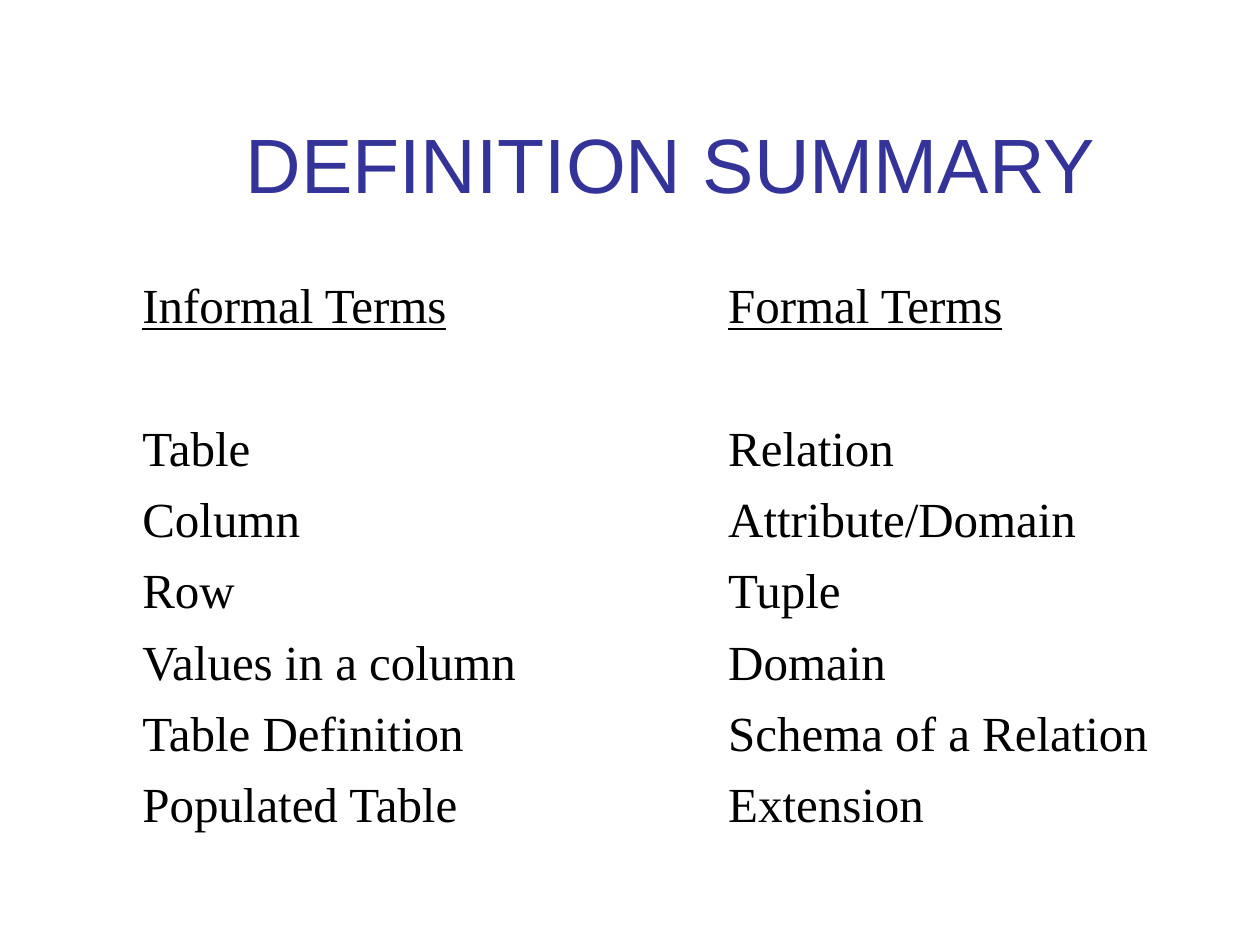
"""Build the Definition Summary slide with a two-column table of terms."""
import pptx
import pptx.dml.color
import pptx.enum.text
import pptx.oxml
import pptx.oxml.ns
import pptx.util
from pptx.util import Inches


def rgb(value):
    return pptx.dml.color.RGBColor.from_string(value)


def add_border(cell, side, width, color):
    ns = pptx.oxml.ns.nsdecls("a")
    cell._tc.get_or_add_tcPr().append(pptx.oxml.parse_xml(
        f'<a:ln{side} {ns} w="{pptx.util.Pt(width)}"><a:solidFill>'
        f'<a:srgbClr val="{color}"/></a:solidFill></a:ln{side}>'))


terms = [
    ("Informal Terms", "Formal Terms"),
    ("", ""),
    ("Table", "Relation"),
    ("Column", "Attribute/Domain"),
    ("Row", "Tuple"),
    ("Values in a column", "Domain"),
    ("Table Definition", "Schema of a Relation"),
    ("Populated Table", "Extension"),
]
widths = [3.51, 1.14, 3.57]

prs = pptx.Presentation()
prs.slide_width, prs.slide_height = Inches(10), Inches(7.5)
s = prs.slides.add_slide(prs.slide_layouts[5])

title = s.shapes.title
title.left, title.top = Inches(1.4), Inches(0.67)
title.width, title.height = Inches(7.85), Inches(1.25)
tf = title.text_frame
tf.text = "DEFINITION SUMMARY"
tf.vertical_anchor = pptx.enum.text.MSO_ANCHOR.MIDDLE
p = tf.paragraphs[0]
p.alignment = pptx.enum.text.PP_ALIGN.CENTER
p.font.name, p.font.size = "Arial", pptx.util.Pt(44)
p.font.color.rgb = rgb("333399")

table = s.shapes.add_table(len(terms), len(widths), Inches(1.03), Inches(2.17),
                           Inches(sum(widths)), Inches(4.53)).table
table.first_row = table.horz_banding = False
for column, width in zip(table.columns, widths):
    column.width = Inches(width)

last_row, last_col = len(terms) - 1, len(widths) - 1
for i, (informal, formal) in enumerate(terms):
    for j, text in enumerate((informal, "", formal)):
        cell = table.cell(i, j)
        edges = {"L": j == 0, "R": j == last_col, "T": i == 0, "B": i == last_row}
        for side, outer in edges.items():
            add_border(cell, side, 1.08 if outer else 0.45, "FFFFFF")
        cell.fill.background()
        if text:
            cell.text = text
            p = cell.text_frame.paragraphs[0]
            p.font.name, p.font.size = "Times New Roman", pptx.util.Pt(28)
            p.font.color.rgb = rgb("000000")
            p.font.underline = i == 0

prs.save("out.pptx")
